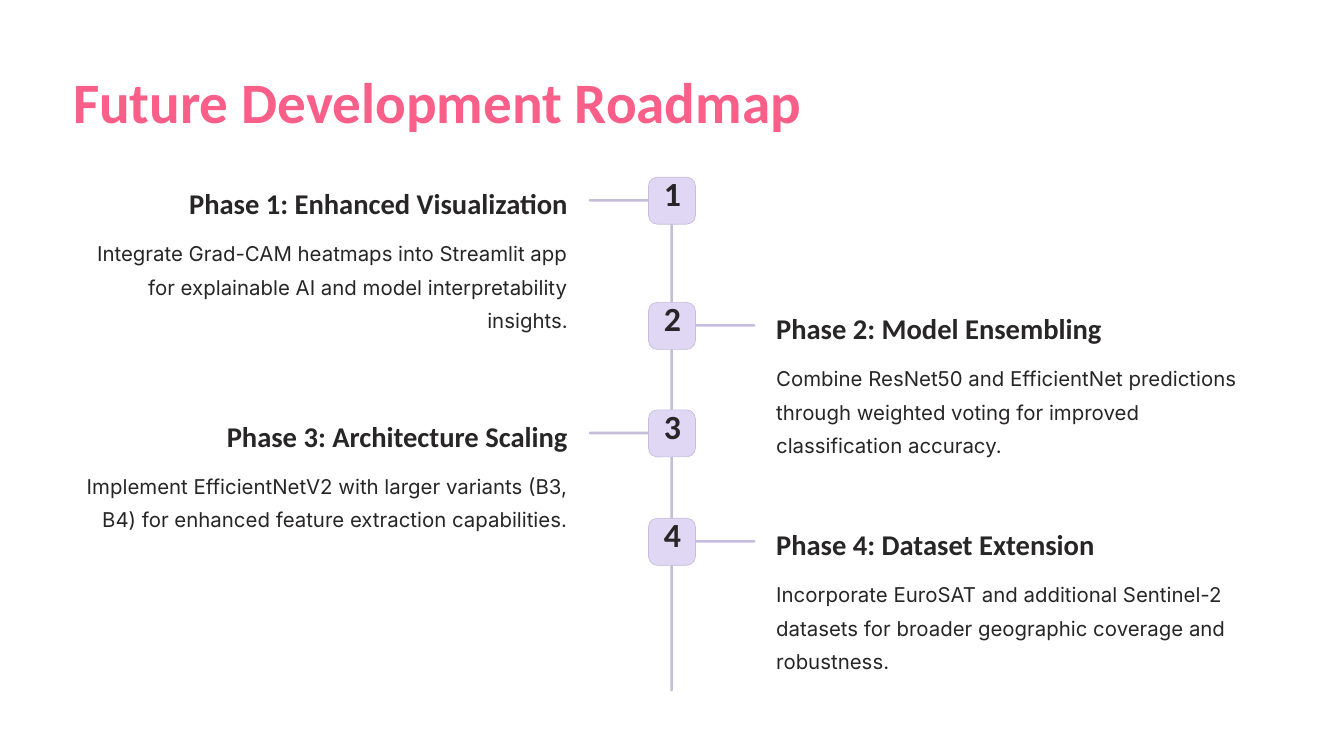
"""Build the Future Development Roadmap slide: a vertical timeline with alternating phases."""
from dataclasses import dataclass

from pptx import Presentation
from pptx import util as u
from pptx.dml import color
from pptx.enum import shapes, text
from pptx.shapes.autoshape import Shape
from pptx.slide import Slide

PX = 9144
SLIDE_WIDTH, SLIDE_HEIGHT = 1600, 900
BADGE, RAIL, ARM = 56, 3, 74
BADGE_LEFT = 772
TEXT_WIDTH = 589
LEFT_TEXT, RIGHT_TEXT = 87, 924


@dataclass(frozen=True)
class TextStyle:
    font: str
    size: float
    leading: float
    color: str
    bold: bool = True
    wrap: bool = False


@dataclass(frozen=True)
class Theme:
    background: str = "FFFFFF"
    rail: str = "C6BDDA"
    badge: str = "E0D7F4"
    border: float = 0.6
    title: TextStyle = TextStyle("Calibri", 49, 61, "F95F88")
    number: TextStyle = TextStyle("Calibri", 29, 29, "272525")
    heading: TextStyle = TextStyle("Calibri", 24.5, 30.5, "272525")
    body: TextStyle = TextStyle("Inter", 17.5, 28.5, "272525", bold=False, wrap=True)


@dataclass(frozen=True)
class Area:
    left: int
    top: int
    width: int
    height: int

    def emu(self) -> tuple[int, int, int, int]:
        """Return the area in EMU."""
        return self.left * PX, self.top * PX, self.width * PX, self.height * PX


@dataclass(frozen=True)
class Phase:
    top: int
    heading: str
    heading_width: int
    body: str
    body_height: int = 119


THEME = Theme()
PHASES = (
    Phase(211, "Phase 1: Enhanced Visualization", 502,
          "Integrate Grad-CAM heatmaps into Streamlit app for explainable AI "
          "and model interpretability insights."),
    Phase(360, "Phase 2: Model Ensembling", 427,
          "Combine ResNet50 and EfficientNet predictions through weighted voting "
          "for improved classification accuracy."),
    Phase(488, "Phase 3: Architecture Scaling", 455,
          "Implement EfficientNetV2 with larger variants (B3, B4) for enhanced "
          "feature extraction capabilities.", 79),
    Phase(617, "Phase 4: Dataset Extension", 416,
          "Incorporate EuroSAT and additional Sentinel-2 datasets for broader "
          "geographic coverage and robustness."),
)


def add_bar(page: Slide, area: Area, fill: str, rounding: float = 0.5) -> Shape:
    """Add a rounded, borderless block."""
    bar = page.shapes.add_shape(shapes.MSO_SHAPE.ROUNDED_RECTANGLE, *area.emu())
    bar.adjustments[0] = rounding
    bar.shadow.inherit = False
    bar.fill.solid()
    bar.fill.fore_color.rgb = color.RGBColor.from_string(fill)
    bar.line.fill.background()
    return bar


def add_text(page: Slide, area: Area, words: str, style: TextStyle,
             align: text.PP_ALIGN = text.PP_ALIGN.LEFT) -> None:
    """Add a text box without margins."""
    frame = page.shapes.add_textbox(*area.emu()).text_frame
    frame.margin_left = frame.margin_right = frame.margin_top = frame.margin_bottom = 0
    frame.word_wrap = style.wrap
    frame.text = words
    para = frame.paragraphs[0]
    para.alignment = align
    para.line_spacing = u.Pt(style.leading)
    span = para.runs[0]
    span.font.name = style.font
    span.font.size = u.Pt(style.size)
    span.font.bold = style.bold
    span.font.color.rgb = color.RGBColor.from_string(style.color)


def add_phase(page: Slide, number: int, phase: Phase) -> None:
    """Add one numbered phase, odd ones on the left and even ones on the right."""
    on_left = number % 2 == 1
    top = phase.top
    arm_left = 701 if on_left else 825
    add_bar(page, Area(arm_left, top + 26, ARM, RAIL), THEME.rail)
    badge = add_bar(page, Area(BADGE_LEFT, top, BADGE, BADGE), THEME.badge, 0.19)
    badge.line.color.rgb = color.RGBColor.from_string(THEME.rail)
    badge.line.width = u.Pt(THEME.border)
    add_text(page, Area(BADGE_LEFT + 8, top + 3, 41, 51), str(number),
             THEME.number, text.PP_ALIGN.CENTER)

    align = text.PP_ALIGN.RIGHT if on_left else text.PP_ALIGN.LEFT
    body_left = LEFT_TEXT if on_left else RIGHT_TEXT
    heading_left = LEFT_TEXT + TEXT_WIDTH - phase.heading_width if on_left else RIGHT_TEXT
    add_text(page, Area(heading_left, top + 9, phase.heading_width, 43),
             phase.heading, THEME.heading, align)
    add_text(page, Area(body_left, top + 66, TEXT_WIDTH, phase.body_height),
             phase.body, THEME.body, align)


def main() -> None:
    """Build and save the deck."""
    deck = Presentation()
    deck.slide_width, deck.slide_height = SLIDE_WIDTH * PX, SLIDE_HEIGHT * PX
    page = deck.slides.add_slide(deck.slide_layouts[6])
    page.background.fill.solid()
    page.background.fill.fore_color.rgb = color.RGBColor.from_string(THEME.background)
    add_text(page, Area(LEFT_TEXT, 76, 950, 85), "Future Development Roadmap", THEME.title)
    add_bar(page, Area(798, 211, RAIL, 612), THEME.rail)
    for number, phase in enumerate(PHASES, start=1):
        add_phase(page, number, phase)
    deck.save("out.pptx")


if __name__ == "__main__":
    main()
